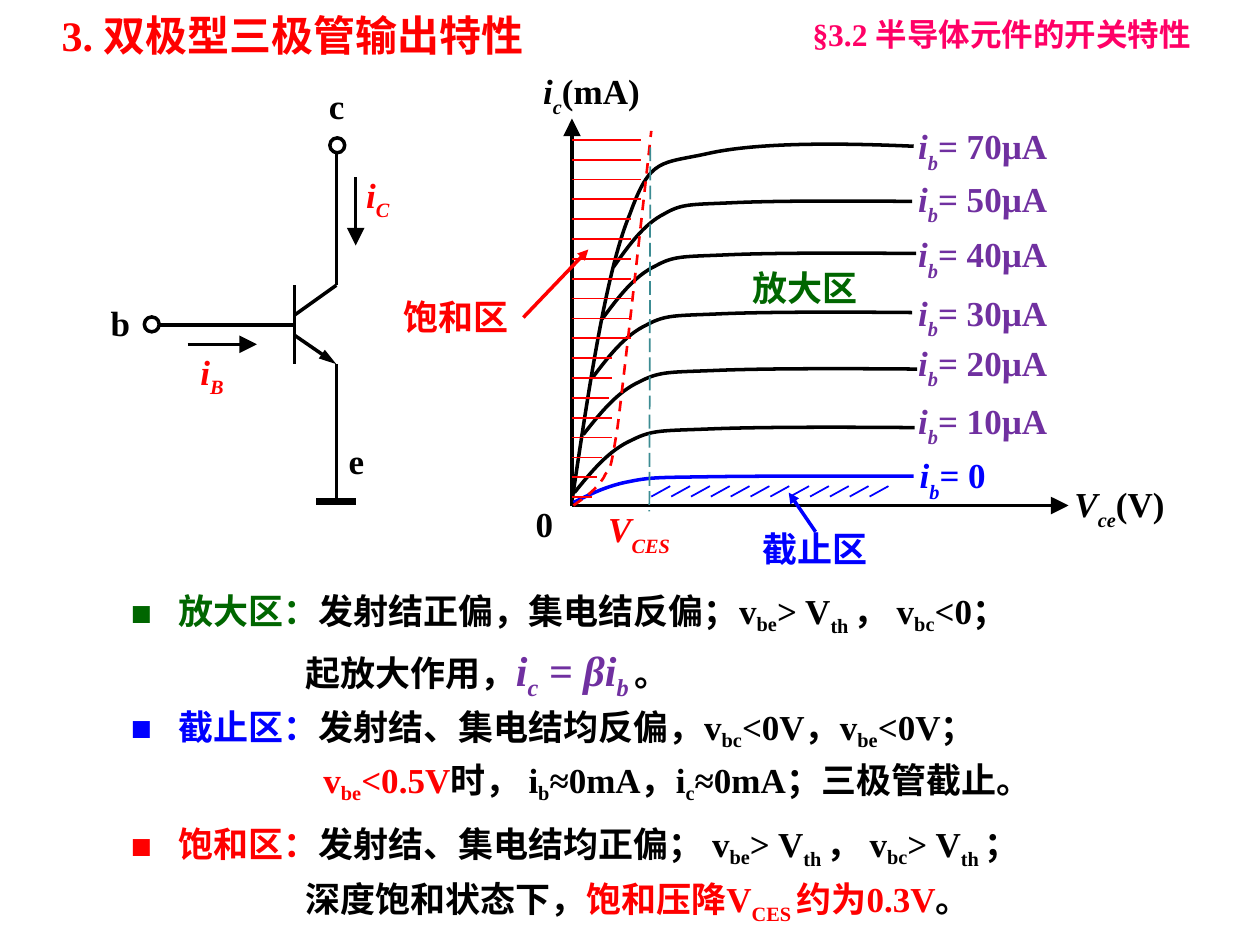
"""Build a slide on the output characteristics of a bipolar transistor."""
from lxml import etree
from pptx import Presentation
from pptx.dml.color import RGBColor
from pptx.enum.dml import MSO_LINE
from pptx.enum.shapes import MSO_CONNECTOR, MSO_SHAPE
from pptx.enum.text import MSO_ANCHOR, MSO_AUTO_SIZE, PP_ALIGN
from pptx.oxml.ns import qn
from pptx.util import Cm, Pt

STRAIGHT = MSO_CONNECTOR.STRAIGHT
OVAL = MSO_SHAPE.OVAL
DASH, LONG_DASH = MSO_LINE.DASH, MSO_LINE.LONG_DASH
MIDDLE, LEFT = MSO_ANCHOR.MIDDLE, PP_ALIGN.LEFT
FIT_SHAPE, NO_FIT = MSO_AUTO_SIZE.SHAPE_TO_FIT_TEXT, MSO_AUTO_SIZE.NONE

BLACK = RGBColor(0x00, 0x00, 0x00)
WHITE = RGBColor(0xFF, 0xFF, 0xFF)
RED = RGBColor(0xFF, 0x00, 0x00)
BLUE = RGBColor(0x00, 0x00, 0xFF)
GREEN = RGBColor(0x00, 0x66, 0x00)
PURPLE = RGBColor(0x70, 0x30, 0xA0)
PINK = RGBColor(0xFF, 0x00, 0x66)
TEAL = RGBColor(0x3C, 0x8C, 0x93)

FONT = "Times New Roman"
CURVE_SHAPE = [(0, 0), (0.05, 0.32), (0.1, 0.65), (0.17, 0.81), (0.23, 0.97),
               (0.26, 0.95), (0.4, 0.98), (0.54, 1.01), (0.77, 1.01), (1, 1)]
CURVES = [
    (11.53, 10.11, 18.42, 2.95, BLACK),
    (12.37, 5.38, 18.39, 4.06, BLACK),
    (12.14, 6.43, 18.47, 5.11, BLACK),
    (11.94, 7.62, 18.39, 6.3, BLACK),
    (11.76, 8.76, 18.49, 7.44, BLACK),
    (11.58, 9.93, 18.44, 8.62, BLACK),
    (11.56, 10.13, 18.42, 9.6, BLUE),
]
SATURATION_EDGE = [(11.56, 10.19), (11.79, 10.03), (12.01, 9.88), (12.17, 9.63),
                   (12.29, 9.35), (12.27, 9.75), (12.45, 8.61), (12.6, 7.44),
                   (13.13, 2.64), (13.13, 2.64)]
SATURATION_ENDS = [12.93] * 4 + [12.73] * 7 + [12.34, 12.34, 12.27, 12.34, 12.34,
                                               12.14, 12.04, 11.94]
CURRENT_LABELS = [(70, 2.39), (50, 3.45), (40, 4.57), (30, 5.75), (20, 6.75), (10, 7.92)]


def add_text(para, text, size=20, color=BLACK, italic=False, drop=-20):
    """Add bold text in which every second part between bars is a subscript."""
    for index, part in enumerate(text.split("|")):
        if not part:
            continue
        span = para.add_run()
        span.text = part
        span.font.name, span.font.size = FONT, Pt(size)
        span.font.bold, span.font.italic = True, italic
        span.font.color.rgb = color
        if index % 2:
            span._r.get_or_add_rPr().set("baseline", str(drop * 1000))


def add_box(page, left, top, width, height, wrap=False):
    """Add an empty text box that grows with its text."""
    box = page.shapes.add_textbox(Cm(left), Cm(top), Cm(width), Cm(height))
    box.text_frame.word_wrap = wrap
    box.text_frame.auto_size = FIT_SHAPE
    return box


def add_label(page, left, top, width, symbol="", rest="", color=BLACK, drop=-30):
    """Add a label made of an italic symbol and upright text."""
    box = add_box(page, left, top, width, 1.12)
    para = box.text_frame.paragraphs[0]
    add_text(para, symbol, color=color, italic=True, drop=drop)
    add_text(para, rest, color=color)
    return box


def add_line(page, start, end, color=BLACK, weight=2, dash=None, head=None):
    """Add a straight line, with an arrowhead if its width and length are given."""
    line = page.shapes.add_connector(STRAIGHT, *map(Cm, start + end))
    line.line.color.rgb = color
    line.line.width = Pt(weight)
    if dash:
        line.line.dash_style = dash
    properties = line._element.spPr
    if head:
        etree.SubElement(properties.find(qn("a:ln")), qn("a:tailEnd"),
                         type="triangle", w=head[0], len=head[1])
    etree.SubElement(properties, qn("a:effectLst"))
    return line


def add_curve(page, points, color=BLACK, weight=2, dash=None):
    """Add an open outline of chained cubic curves, three points for each."""
    start, *others = [(Cm(x), Cm(y)) for x, y in points]
    builder = page.shapes.build_freeform(*start)
    builder.add_line_segments(others, close=False)
    curve = builder.convert_to_shape()
    segments = list(curve._element.iter(qn("a:lnTo")))
    outline = segments[0].getparent()
    for first in range(0, len(segments), 3):
        cubic = etree.SubElement(outline, qn("a:cubicBezTo"))
        for segment in segments[first:first + 3]:
            cubic.append(segment[0])
            outline.remove(segment)
    curve.shadow.inherit = False
    curve.fill.background()
    curve.line.color.rgb = color
    curve.line.width = Pt(weight)
    if dash:
        curve.line.dash_style = dash


def add_terminal(page, left, top):
    """Add a round open terminal."""
    ring = page.shapes.add_shape(OVAL, Cm(left), Cm(top), Cm(0.3), Cm(0.3))
    ring.shadow.inherit = False
    ring.fill.solid()
    ring.fill.fore_color.rgb = WHITE
    ring.line.color.rgb = BLACK
    ring.line.width = Pt(2)


def add_region_note(page, top, width, first, second, indent):
    """Add a bulleted line and an indented line below it."""
    frame = add_box(page, 2.39, top, width, 2.13, wrap=True).text_frame
    lines = (frame.paragraphs[0], first, 0.95, -0.95), (frame.add_paragraph(), second, indent, 0)
    for para, spans, margin, hang in lines:
        properties = para._p.get_or_add_pPr()
        properties.set("marL", str(Cm(margin)))
        properties.set("indent", str(Cm(hang)))
        if hang:
            etree.SubElement(properties, qn("a:buFont"), typeface=FONT)
            etree.SubElement(properties, qn("a:buChar"), char="■")
        else:
            para.space_before = Pt(4)
        for text, style in spans:
            add_text(para, text, **style)


def add_headings(page):
    """Fill the title and the section name."""
    title = page.shapes.title
    title.left, title.top, title.width, title.height = Cm(0.99), Cm(0), Cm(11.4), Cm(1.4)
    frame = title.text_frame
    frame.vertical_anchor, frame.auto_size = MIDDLE, NO_FIT
    frame.paragraphs[0].alignment = LEFT
    add_text(frame.paragraphs[0], "3. 双极型三极管输出特性", size=24, color=RED)
    section = add_box(page, 16.13, 0.18, 9.09, 1.02, wrap=True)
    add_text(section.text_frame.paragraphs[0], "§3.2 半导体元件的开关特性", size=18, color=PINK)


def add_graph(page):
    """Draw the output characteristic curves with their three regions."""
    large, medium = ("lg", "lg"), ("med", "med")
    add_line(page, (11.53, 10.19), (21.54, 10.19), head=large)
    add_line(page, (11.53, 10.21), (11.53, 2.39), head=large)
    for left, top, right, bottom, color in CURVES:
        points = [(left + x * (right - left), top + y * (bottom - top)) for x, y in CURVE_SHAPE]
        add_curve(page, points, color)
    add_curve(page, SATURATION_EDGE, RED, 1.5, DASH)
    for index in range(12):
        right = 13.51 + 0.4 * index
        add_line(page, (right, 9.8), (right - 0.38, 10.01), BLUE, 1)
    for index, right in enumerate(SATURATION_ENDS):
        height = 2.82 + 0.4 * index
        add_line(page, (11.53, height), (right, height), RED, 1)
    add_line(page, (13.11, 2.97), (13.09, 10.31), TEAL, 1, LONG_DASH)

    add_label(page, 21.41, 9.6, 2.39, "V|ce|", "(V)")
    add_label(page, 10.7, 1.27, 2.49, "i|c|", "(mA)")
    add_label(page, 10.55, 10.01, 0.86, rest="0")
    add_label(page, 12.01, 10.11, 1.88, "V|CES|", color=RED)
    for current, top in CURRENT_LABELS:
        add_label(page, 18.26, top, 3.18, "i|b|", f"= {current}µA", PURPLE)
    add_label(page, 18.29, 9.02, 1.88, "i|b|", "= 0", BLUE)
    add_label(page, 14.92, 5.24, 2.67, rest="放大区", color=GREEN)
    saturation = add_label(page, 7.88, 5.84, 2.67, rest="饱和区", color=RED)
    add_label(page, 15.12, 10.51, 2.67, rest="截止区", color=BLUE)
    pointer = add_line(page, (10.55, 6.4), (11.86, 5.03), RED, head=medium)
    pointer.begin_connect(saturation, 3)
    add_line(page, (16.44, 10.72), (15.9, 9.93), BLUE, head=medium)


def add_circuit(page):
    """Draw the transistor symbol with its terminals and currents."""
    wires = [((6.78, 2.97), (6.78, 5.75)), ((6.78, 7.34), (6.78, 10.12)),
             ((5.94, 5.75), (5.94, 7.34)), ((6.78, 5.75), (5.94, 6.35)),
             ((3.2, 6.55), (5.94, 6.55))]
    for start, end in wires:
        add_line(page, start, end)
    add_line(page, (5.94, 6.76), (6.78, 7.34), head=("med", "lg"))
    add_line(page, (6.38, 10.12), (7.17, 10.12), weight=4)
    add_terminal(page, 6.65, 2.78)
    add_terminal(page, 2.91, 6.39)
    add_line(page, (3.78, 6.94), (5.18, 6.94), head=("lg", "lg"))
    add_line(page, (7.17, 3.57), (7.17, 4.95), head=("lg", "lg"))
    add_label(page, 3.79, 6.94, 1.02, "i|B|", color=RED, drop=-25)
    add_label(page, 7.13, 3.38, 1.02, "i|C|", color=RED, drop=-25)
    for left, top, name in [(6.38, 1.57, "c"), (1.98, 5.95, "b"), (6.78, 8.74, "e")]:
        add_label(page, left, top, 0.86, rest=name)


def add_notes(page):
    """Explain the bias conditions of the three regions."""
    threshold = ("|th |", {"drop": -25})
    formula = {"size": 24, "color": PURPLE, "italic": True, "drop": -25}
    add_region_note(
        page, 11.76, 20.62,
        [("放大区：", {"color": GREEN}), ("发射结正偏，集电结反偏；v|be|> V", {}), threshold,
         ("， v|bc|<0；", {})],
        [("起放大作用，", {}), ("i|c| = βi|b |", formula), ("。", {})], 3.52)
    add_region_note(
        page, 14.1, 22.02,
        [("截止区：", {"color": BLUE}), ("发射结、集电结均反偏，v|bc|<0V，v|be|<0V；", {})],
        [("v|be|<0.5V", {"color": RED}), ("时， i|b|≈0mA，i|c|≈0mA；三极管截止。", {})], 3.88)
    add_region_note(
        page, 16.46, 19.46,
        [("饱和区：", {"color": RED}), ("发射结、集电结均正偏； v|be|> V", {}), threshold,
         ("， v|bc|> V", {}), threshold, ("；", {})],
        [("深度饱和状态下，", {}), ("饱和压降V|CES |约为0.3V", {"color": RED, "drop": -25}),
         ("。", {})], 3.52)


def main():
    """Create and save the deck."""
    deck = Presentation()
    deck.slide_width, deck.slide_height = Cm(25.4), Cm(19.05)
    page = deck.slides.add_slide(deck.slide_layouts[5])
    add_headings(page)
    add_notes(page)
    add_graph(page)
    add_circuit(page)
    deck.save("out.pptx")


if __name__ == "__main__":
    main()
